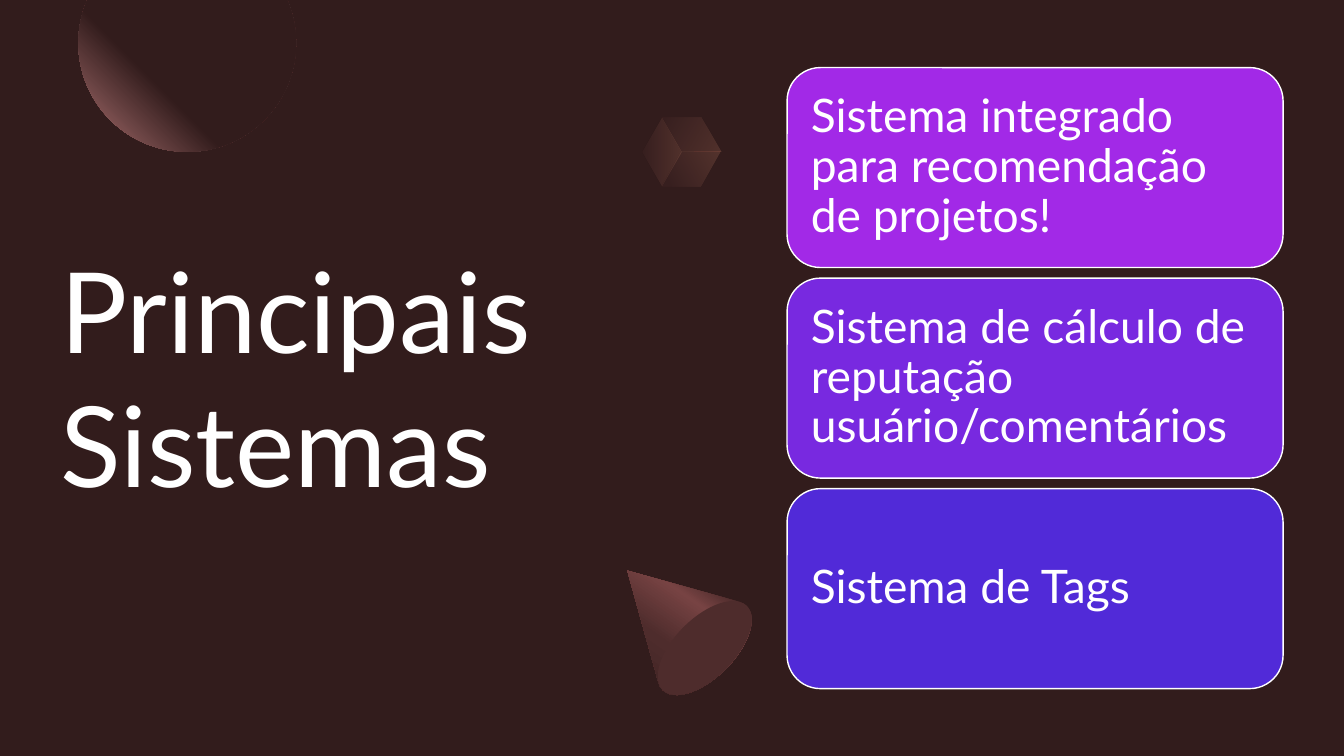
from math import asin, cos, degrees, radians, sin, tan

from lxml.etree import SubElement
from pptx import Presentation
from pptx.dml.color import RGBColor
from pptx.enum.shapes import MSO_SHAPE
from pptx.enum.text import MSO_ANCHOR, MSO_AUTO_SIZE, PP_ALIGN
from pptx.oxml.ns import qn
from pptx.util import Pt

FONT = "Lato"
WHITE = "FFFFFF"
BACKDROP = "321C1C"
SHADE = "4E2C2C"
CARDS = [
    ("Sistema integrado para recomendação de projetos!", "A229E7"),
    ("Sistema de cálculo de reputação usuário/comentários", "7829E0"),
    ("Sistema de Tags", "512AD8"),
]


def color(value):
    return RGBColor.from_string(value)


def fill_solid(shape, value):
    shape.shadow.inherit = False
    shape.fill.solid()
    shape.fill.fore_color.rgb = color(value)
    shape.line.fill.background()


def fill_gradient(shape, stops, angle=None, opacity=100):
    """Linear gradient at an angle, or circular from the top right corner."""
    shape.shadow.inherit = False
    shape.line.fill.background()
    shape.fill.background()
    properties = shape._element.spPr
    gradient = SubElement(properties, qn("a:gradFill"), rotWithShape="1")
    properties.replace(properties.find(qn("a:noFill")), gradient)
    stop_list = SubElement(gradient, qn("a:gsLst"))
    for position, value in stops:
        stop = SubElement(stop_list, qn("a:gs"), pos=str(position * 1000))
        tone = SubElement(stop, qn("a:srgbClr"), val=value)
        if opacity < 100:
            SubElement(tone, qn("a:alpha"), val=str(opacity * 1000))
    if angle is None:
        circle = SubElement(gradient, qn("a:path"), path="circle")
        SubElement(circle, qn("a:fillToRect"), l="100000", b="100000")
    else:
        SubElement(gradient, qn("a:lin"), ang=str(angle * 60000), scaled="0")


def arc(center, radii, angles):
    """Start point and Bézier points of an ellipse through the given angles."""
    def at(angle, reach=0):
        turn = radians(angle)
        return (center[0] + radii[0] * (cos(turn) - reach * sin(turn)),
                center[1] + radii[1] * (sin(turn) + reach * cos(turn)))

    points = [at(angles[0])]
    for start, end in zip(angles, angles[1:]):
        reach = 4 / 3 * tan(radians(end - start) / 4)
        points += [at(start, reach), at(end, -reach), at(end)]
    return points


def add_outline(page, corners, curve=()):
    """Closed outline: straight corners first, then Bézier points by threes."""
    points = [(Pt(x), Pt(y)) for x, y in [*corners, *curve]]
    builder = page.shapes.build_freeform(*points[0])
    builder.add_line_segments(points[1:], close=True)
    shape = builder.convert_to_shape()
    outline = next(shape._element.iter(qn("a:path")))
    steps = outline.findall(qn("a:lnTo"))[len(corners) - 1:][:len(curve)]
    for index in range(0, len(steps), 3):
        bend = outline.makeelement(qn("a:cubicBezTo"))
        steps[index].addprevious(bend)
        for step in steps[index:index + 3]:
            bend.append(step[0])
            outline.remove(step)
    return shape


def turn_about(shape, pivot, angle):
    """Rotate a shape around a point given in points."""
    across = shape.left + shape.width / 2 - Pt(pivot[0])
    down = shape.top + shape.height / 2 - Pt(pivot[1])
    turn = radians(angle)
    shape.left += round(across * (cos(turn) - 1) - down * sin(turn))
    shape.top += round(across * sin(turn) + down * (cos(turn) - 1))
    shape.rotation = angle


def format_text(frame, size, margin):
    frame.word_wrap = True
    frame.auto_size = MSO_AUTO_SIZE.NONE
    frame.vertical_anchor = MSO_ANCHOR.MIDDLE
    frame.margin_left = frame.margin_right = Pt(margin)
    frame.margin_top = frame.margin_bottom = Pt(margin)
    para = frame.paragraphs[0]
    para.alignment = PP_ALIGN.LEFT
    for span in para.runs:
        span.font.name = FONT
        span.font.size = Pt(size)
        span.font.color.rgb = color(WHITE)
    return para


def draw_backdrop(page, width, height):
    page.background.fill.solid()
    page.background.fill.fore_color.rgb = color(BACKDROP)
    panel = page.shapes.add_shape(MSO_SHAPE.RECTANGLE, 0, 0, Pt(width), Pt(height))
    fill_solid(panel, BACKDROP)
    # Keep the panel behind the title
    page.shapes.title._element.addprevious(panel._element)


def place_title(page, left, top, width, height):
    title = page.shapes.title
    title.left, title.top = Pt(left), Pt(top)
    title.width, title.height = Pt(width), Pt(height)
    title.text_frame.text = "Principais Sistemas"
    format_text(title.text_frame, 80, 0).space_after = Pt(6)


def draw_sphere(page, left, top, diameter, visible):
    """Sphere cut off along the top of its box."""
    radius = diameter / 2
    drop = visible - radius
    cut = degrees(asin(drop / radius))
    edge = arc((left + radius, top + drop), (radius, radius),
               [-cut, 0, 90, 180, 180 + cut])
    fill_gradient(add_outline(page, edge[:1], edge[1:]),
                  [(60, BACKDROP), (100, "B17575")])


def draw_cube(page, left, top, width):
    """Three faces that share the middle of a hexagon, turned by 30 degrees."""
    radius = width / 2
    center = (left + radius, top + radius * sin(radians(60)))
    corners = [(center[0] + radius * cos(radians(60 * step - 30)),
                center[1] + radius * sin(radians(60 * step - 30)))
               for step in range(7)]
    for first, angle in [(4, 0), (2, 330), (0, 300)]:
        face = add_outline(page, corners[first:first + 3] + [center])
        fill_gradient(face, [(20, SHADE), (100, "F1A17F")], angle, opacity=20)
        turn_about(face, center, 30)


def draw_cone(page, left, top, width, height):
    """Upright cone in its box, turned to the left by 45 degrees."""
    long_radius, short_radius = width / 2, width / 4
    middle = (left + width / 2, top + height / 2)
    depth = height - short_radius
    # Body: tip plus the base edge between the tangent points
    tangent = degrees(asin(short_radius / depth))
    edge = arc((middle[0], top + depth), (long_radius, short_radius),
               [-tangent, 0, 90, 180, 180 + tangent])
    body = add_outline(page, [(middle[0], top), edge[0]], edge[1:])
    fill_gradient(body, [(30, SHADE), (40, "774343"), (60, SHADE), (100, BACKDROP)], 170)
    turn_about(body, middle, -45)
    # Base
    shift = (depth - height / 2) * sin(radians(45))
    base = page.shapes.add_shape(
        MSO_SHAPE.OVAL, Pt(middle[0] + shift - short_radius),
        Pt(middle[1] + shift - long_radius), Pt(2 * short_radius), Pt(2 * long_radius))
    base.rotation = 45
    fill_solid(base, SHADE)


def add_cards(page, left, top, width, height, gap):
    card_height = (height - gap * (len(CARDS) - 1)) / len(CARDS)
    for index, (label, tone) in enumerate(CARDS):
        card = page.shapes.add_shape(
            MSO_SHAPE.ROUNDED_RECTANGLE, Pt(left), Pt(top + index * (card_height + gap)),
            Pt(width), Pt(card_height))
        fill_solid(card, tone)
        card.line.color.rgb = color(WHITE)
        card.line.width = Pt(1)
        card.text_frame.text = label
        # The rounded corner already insets the text by about 7 points
        format_text(card.text_frame, 33, 10).line_spacing = 0.9


def build_slide(deck):
    page = deck.slides.add_slide(deck.slide_layouts[5])
    draw_backdrop(page, 960, 540)
    place_title(page, 43, 119.5, 428.5, 297.5)
    # Decorations
    draw_sphere(page, 56, 0, 155.5, 108.5)
    draw_cube(page, 458.75, 84.25, 56.25)
    draw_cone(page, 440.75, 393, 85, 99.5)
    # Systems
    add_cards(page, 562.2, 48.3, 354.3, 443.6, 7.6)


def main():
    deck = Presentation()
    deck.slide_width, deck.slide_height = Pt(960), Pt(540)
    build_slide(deck)
    deck.save("out.pptx")


if __name__ == "__main__":
    main()
